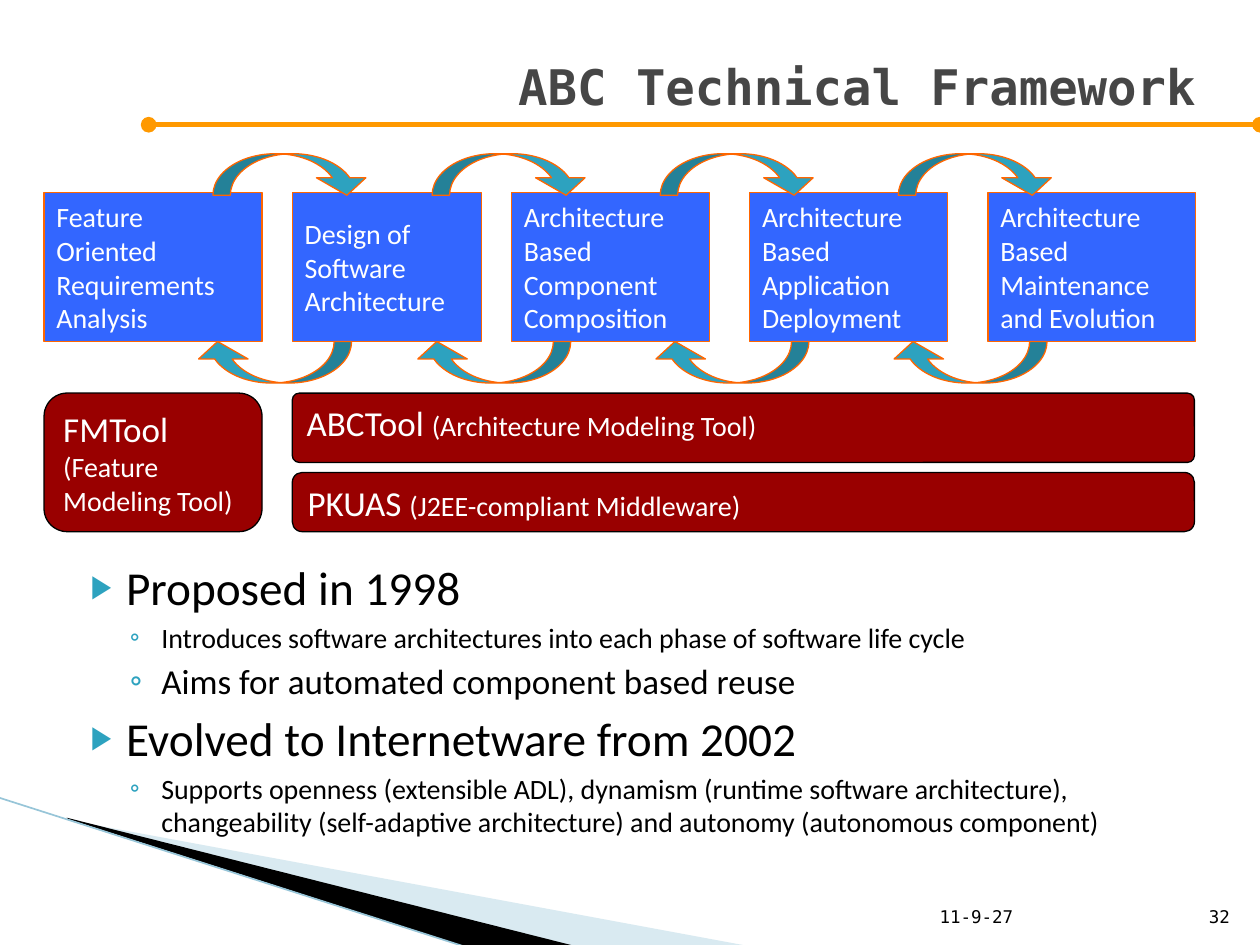
import pptx
import pptx.dml.color
import pptx.enum.shapes
import pptx.enum.text
import pptx.oxml
import pptx.oxml.ns
import pptx.util

Inches = pptx.util.Inches
Pt = pptx.util.Pt
Shape = pptx.enum.shapes.MSO_SHAPE
Anchor = pptx.enum.text.MSO_ANCHOR
Align = pptx.enum.text.PP_ALIGN

SANS, MONO = "Calibri", "DejaVu Sans Mono"
BLUE, RED, TEAL, ORANGE = "3366FF", "990000", "2DA2BF", "FF6600"
WHITE, BLACK = "FFFFFF", "000000"

TITLE = "ABC Technical Framework"
PHASES = [
    (["Feature Oriented Requirements Analysis"], 0.35, 1.73),
    (["Design of Software", "Architecture"], 2.32, 1.5),
    (["Architecture Based Component Composition"], 4.06, 1.57),
    (["Architecture Based Application Deployment"], 5.95, 1.57),
    (["Architecture Based Maintenance and Evolution"], 7.84, 1.65),
]
TOOLS = [
    ("FMTool ", "(Feature Modeling Tool)", (0.35, 3.12, 1.73, 1.1), 0.167, Anchor.MIDDLE),
    ("ABCTool ", "(Architecture Modeling Tool)", (2.32, 3.12, 7.16, 0.55), 0.099, Anchor.TOP),
    ("PKUAS ", "(J2EE-compliant Middleware)", (2.32, 3.75, 7.16, 0.47), 0.167, Anchor.MIDDLE),
]
POINTS = [
    (0, "Proposed in 1998", 27),
    (1, "Introduces software architectures into each phase of software life cycle", 16),
    (1, "Aims for automated component based reuse", 20),
    (0, "Evolved to Internetware from 2002", 27),
    (1, "Supports openness (extensible ADL), dynamism (runtime software architecture), "
        "changeability (self-adaptive architecture) and autonomy (autonomous component)", 16),
]
LEVELS = [
    dict(char="▶", percent=68, left=0.4, hang=0.28, before=4),
    dict(char="◦", percent=100, left=0.68, hang=0.25, before=3.2),
]
FOOTERS = [("11-9-27", 7.36, 2.1, Align.LEFT), ("32", 9.46, 0.4, Align.RIGHT)]
WEDGES = [
    ([(0.55, 6.51), (5.95, 7.51), (4.56, 7.51), (0.55, 6.5)], "A0CBDC", 40),
    ([(0.53, 6.49), (4.57, 7.51), (3.72, 7.52), (0.54, 6.5)], BLACK, 100),
]
PHASE_TOP, PHASE_HEIGHT = 1.53, 1.18
ARROW_WIDTH, ARROW_HEIGHT = 1.26, 0.33


def color(value):
    return pptx.dml.color.RGBColor.from_string(value)


def add_xml(parent, tag, **attributes):
    element = pptx.oxml.ns.qn(tag)
    child = parent.makeelement(element, attributes)
    parent.append(child)
    return child


def box(values):
    return [Inches(value) for value in values]


def place(shape, values):
    shape.left, shape.top, shape.width, shape.height = box(values)


def write(frame, text, size=16, font=SANS, fill=WHITE, bold=False,
          align=Align.LEFT, anchor=Anchor.MIDDLE, levels=None):
    frame.word_wrap = True
    frame.auto_size = pptx.enum.text.MSO_AUTO_SIZE.NONE
    frame.vertical_anchor = anchor
    for index, runs in enumerate(text):
        paragraph = frame.paragraphs[0] if index == 0 else frame.add_paragraph()
        paragraph.alignment = align
        if levels:
            paragraph.level = levels[index]
            add_bullet(paragraph, first=index == 0, **LEVELS[levels[index]])
        for words, points in [(runs, size)] if isinstance(runs, str) else runs:
            run = paragraph.add_run()
            run.text = words
            run.font.name = font
            run.font.size = Pt(points)
            run.font.bold = bold
            run.font.color.rgb = color(fill)


def add_bullet(paragraph, first, char, percent, left, hang, before):
    paragraph.space_before = Pt(0 if first else before)
    properties = paragraph._p.get_or_add_pPr()
    properties.set("marL", str(Inches(left)))
    properties.set("indent", str(-Inches(hang)))
    add_xml(add_xml(properties, "a:buClr"), "a:srgbClr", val=TEAL)
    add_xml(properties, "a:buSzPct", val=str(percent * 1000))
    add_xml(properties, "a:buFont", typeface=SANS)
    add_xml(properties, "a:buChar", char=char)


def add_block(kind, values, fill, line, adjustments=(), rotation=0):
    block = slide.shapes.add_shape(kind, *box(values))
    block.shadow.inherit = False
    block.fill.solid()
    block.fill.fore_color.rgb = color(fill)
    block.line.color.rgb = color(line)
    block.line.width = Pt(0.75)
    block.rotation = rotation
    for index, value in enumerate(adjustments):
        block.adjustments[index] = value
    return block


def add_line(start, end, stroke, width, ends=None):
    line = slide.shapes.add_connector(
        pptx.enum.shapes.MSO_CONNECTOR.STRAIGHT, *box(start + end))
    line.line.color.rgb = color(stroke)
    line.line.width = Pt(width)
    if ends:
        for tag in ("a:headEnd", "a:tailEnd"):
            add_xml(line.line._get_or_add_ln(), tag, type=ends)
    add_xml(line._element.spPr, "a:effectLst")


def add_wedge(points, fill, opacity):
    outline = [tuple(box(point)) for point in points]
    builder = slide.shapes.build_freeform(*outline[0])
    builder.add_line_segments(outline[1:], close=True)
    wedge = builder.convert_to_shape()
    wedge.shadow.inherit = False
    wedge.fill.solid()
    wedge.fill.fore_color.rgb = color(fill)
    wedge.line.fill.background()
    if opacity < 100:
        tint = wedge._element.spPr.find(".//" + pptx.oxml.ns.qn("a:srgbClr"))
        add_xml(tint, "a:alpha", val=str(opacity * 1000))


deck = pptx.Presentation()
deck.slide_width, deck.slide_height = box((10, 7.5))
slide = deck.slides.add_slide(deck.slide_layouts[1])
title, points = slide.placeholders

for wedge in WEDGES:
    add_wedge(*wedge)
add_line((-0.01, 6.33), (3.71, 7.52), "97C5D8", 0.95)

for placeholder in (title, points):
    slide.shapes._spTree.append(placeholder._element)
place(title, (0.59, 0.06, 9, 1.25))
write(title.text_frame, [TITLE], size=28, font=MONO, fill="464646", bold=True, align=Align.RIGHT)
place(points, (0.5, 4.38, 9, 2.52))
write(points.text_frame, [[(text, size)] for _, text, size in POINTS], fill=BLACK,
      anchor=Anchor.TOP, levels=[level for level, _, _ in POINTS])

for text, left, width in PHASES:
    phase = add_block(Shape.RECTANGLE, (left, PHASE_TOP, width, PHASE_HEIGHT), BLUE, ORANGE)
    write(phase.text_frame, text)

for (_, left, width), (_, next_left, _) in zip(PHASES, PHASES[1:]):
    forward = (left + width - 0.39, 1.22, 0)
    backward = (next_left - 0.79, PHASE_TOP + PHASE_HEIGHT, 180)
    for arrow_left, top, rotation in (forward, backward):
        add_block(Shape.CURVED_DOWN_ARROW, (arrow_left, top, ARROW_WIDTH, ARROW_HEIGHT),
                  TEAL, ORANGE, (0.42, 1.19, 0.42), rotation)

for name, purpose, values, corner, anchor in TOOLS:
    tool = add_block(Shape.ROUNDED_RECTANGLE, values, RED, BLACK, [corner])
    write(tool.text_frame, [[(name, 20), (purpose, 16)]], anchor=anchor)

add_line((1.18, 0.99), (10, 0.99), "FF9900", 3, ends="oval")

for text, left, width, align in FOOTERS:
    footer = slide.shapes.add_textbox(*box((left, 7.01, width, 0.4)))
    write(footer.text_frame, [text], size=10, font=MONO, fill=BLACK,
          align=align, anchor=Anchor.BOTTOM)

deck.save("out.pptx")
